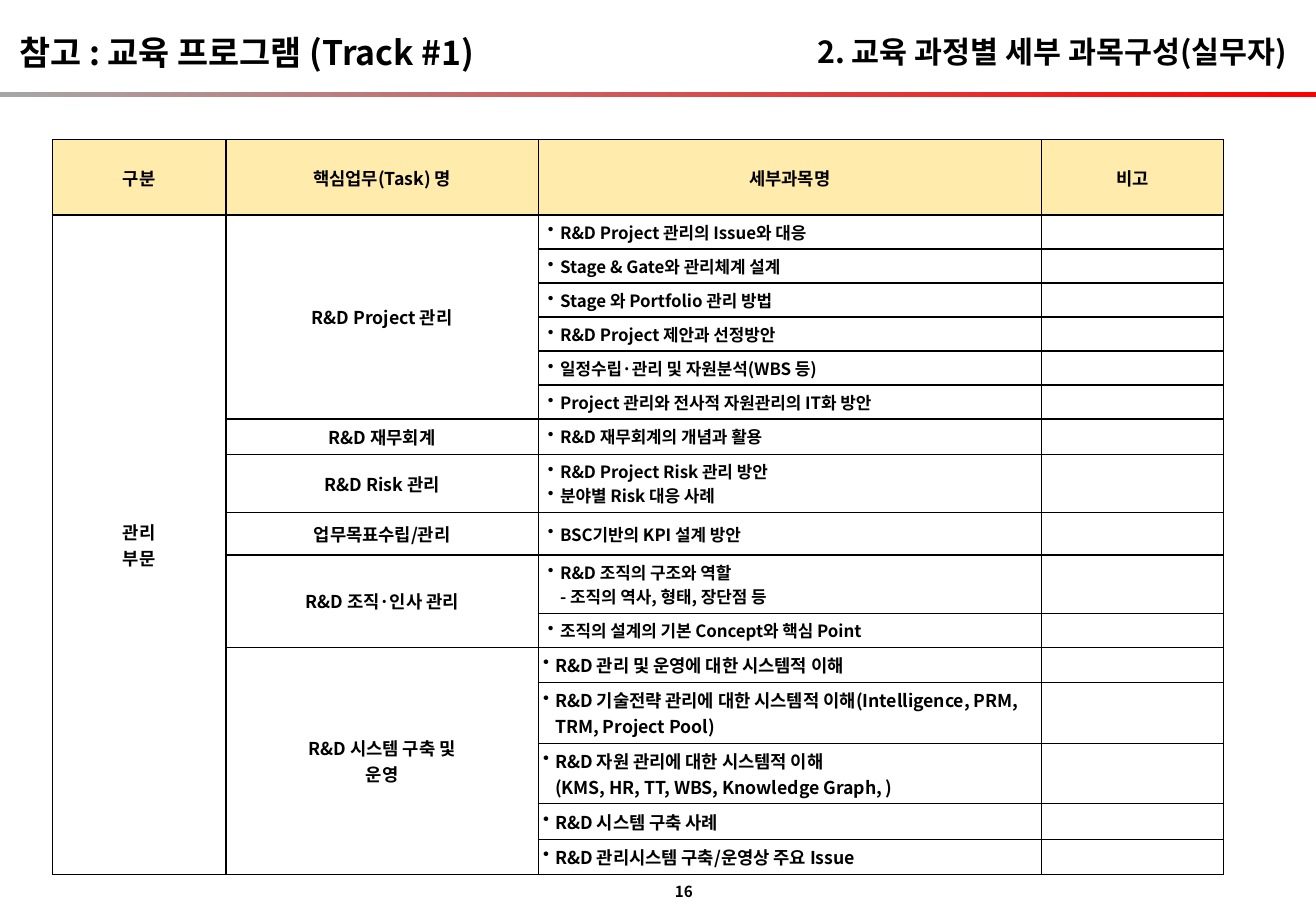
from dataclasses import dataclass

from lxml.etree import SubElement
from pptx import Presentation
from pptx.dml.color import RGBColor
from pptx.enum.shapes import MSO_SHAPE
from pptx.enum.text import MSO_ANCHOR, MSO_AUTO_SIZE, PP_ALIGN
from pptx.oxml import parse_xml
from pptx.oxml.ns import nsdecls, qn
from pptx.shapes.autoshape import Shape
from pptx.slide import Slide
from pptx.table import Table, _Cell
from pptx.text.text import TextFrame
from pptx.util import Inches, Pt

FONT = "Noto Sans CJK KR"
COLORS = {"text": "000000", "header": "FFEBAB", "bar_start": "A6A6A6", "bar_end": "FF0000"}
HEADERS = ["구분", "핵심업무(Task) 명", "세부과목명", "비고"]
COLUMN_WIDTHS = [1.43, 2.57, 4.14, 1.5]
HEADER_HEIGHT = 0.62
DIVISION = "관리\n부문"


@dataclass
class Label:
    text: str
    left: float
    top: float
    width: float
    height: float
    size: float
    align: PP_ALIGN
    margins: tuple[float, float, float, float]


@dataclass
class Subject:
    text: str
    height: float = 0.28


@dataclass
class Task:
    name: str
    subjects: list[Subject]
    size: float = 10
    inset: float = 0.08


TITLE = Label("2. 교육 과정별 세부 과목구성(실무자)", 6.2, 0.22, 4.49, 0.4, 18,
              PP_ALIGN.RIGHT, (0.1, 0.02, 0.1, 0.02))
LABELS = [
    Label("참고 : 교육 프로그램 (Track #1)", 0.06, 0.21, 4.24, 0.44, 20,
          PP_ALIGN.LEFT, (0.1, 0.02, 0.1, 0.02)),
    Label("16", 5.52, 7.21, 0.28, 0.25, 9, PP_ALIGN.RIGHT, (0.03, 0.03, 0.1, 0.03)),
]
TASKS = [
    Task("R&D Project 관리", [
        Subject("R&D Project 관리의 Issue와 대응"),
        Subject("Stage & Gate와 관리체계 설계"),
        Subject("Stage 와 Portfolio 관리 방법"),
        Subject("R&D Project 제안과 선정방안"),
        Subject("일정수립·관리 및 자원분석(WBS 등)"),
        Subject("Project 관리와 전사적 자원관리의 IT화 방안"),
    ]),
    Task("R&D 재무회계", [Subject("R&D 재무회계의 개념과 활용", 0.29)]),
    Task("R&D Risk 관리", [Subject("R&D Project Risk 관리 방안\n분야별 Risk 대응 사례", 0.48)]),
    Task("업무목표수립/관리", [Subject("BSC기반의 KPI 설계 방안", 0.35)]),
    Task("R&D 조직·인사 관리", [
        Subject("R&D 조직의 구조와 역할\v- 조직의 역사, 형태, 장단점 등", 0.48),
        Subject("조직의 설계의 기본 Concept와 핵심 Point"),
    ]),
    Task("R&D 시스템 구축 및\n운영", [
        Subject("R&D 관리 및 운영에 대한 시스템적 이해", 0.29),
        Subject("R&D 기술전략 관리에 대한 시스템적 이해(Intelligence, PRM, TRM, Project Pool)", 0.5),
        Subject("R&D 자원 관리에 대한 시스템적 이해\v(KMS, HR, TT, WBS, Knowledge Graph, )", 0.5),
        Subject("R&D 시스템 구축 사례", 0.29),
        Subject("R&D 관리시스템 구축/운영상 주요 Issue", 0.29),
    ], 10.5, 0.04),
]


def write_text(frame: TextFrame, text: str, size: float, align: PP_ALIGN) -> None:
    frame.text = text
    for para in frame.paragraphs:
        para.alignment = align
        for span in para.runs:
            span.font.name = FONT
            span.font.size = Pt(size)
            span.font.bold = True
            span.font.color.rgb = RGBColor.from_string(COLORS["text"])
            SubElement(span.font._element, qn("a:ea"), typeface=FONT)
        for line_break in para._p.findall(qn("a:br")):
            SubElement(line_break, qn("a:rPr"), sz=str(int(size * 100)))


def place_label(box: Shape, label: Label) -> None:
    box.left, box.top = Inches(label.left), Inches(label.top)
    box.width, box.height = Inches(label.width), Inches(label.height)
    frame = box.text_frame
    write_text(frame, label.text, label.size, label.align)
    frame.word_wrap = False
    frame.auto_size = MSO_AUTO_SIZE.SHAPE_TO_FIT_TEXT
    frame.vertical_anchor = MSO_ANCHOR.MIDDLE
    frame.margin_left, frame.margin_top, frame.margin_right, frame.margin_bottom = map(
        Inches, label.margins)


def draw_bar(page: Slide) -> None:
    bar = page.shapes.add_shape(
        MSO_SHAPE.RECTANGLE, 0, Inches(0.76), Inches(10.83), Inches(0.04))
    bar.shadow.inherit = False
    bar.line.fill.background()
    bar.fill.gradient()
    bar.fill.gradient_angle = 0
    for stop, position, name in zip(bar.fill.gradient_stops, (0, 1), ("bar_start", "bar_end")):
        stop.position = position
        stop.color.rgb = RGBColor.from_string(COLORS[name])


def draw_borders(cell: _Cell, column: int) -> None:
    widths = {"lnL": 1 if column == 3 else 0.75, "lnR": 1 if column == 2 else 0.75,
              "lnT": 0.75, "lnB": 0.75}
    properties = cell._tc.get_or_add_tcPr()
    for index, (side, width) in enumerate(widths.items()):
        properties.insert(index, parse_xml(
            f'<a:{side} {nsdecls("a")} w="{Pt(width)}"><a:solidFill>'
            f'<a:srgbClr val="{COLORS["text"]}"/></a:solidFill></a:{side}>'))


def fill_cell(cell: _Cell, text: str, size: float = 10.5, inset: float = 0.04,
              align: PP_ALIGN = PP_ALIGN.CENTER) -> None:
    write_text(cell.text_frame, text, size, align)
    cell.margin_left = cell.margin_right = Inches(inset)


def add_bullets(cell: _Cell) -> None:
    for para in cell.text_frame.paragraphs:
        properties = para._p.get_or_add_pPr()
        properties.set("marL", str(Inches(0.1)))
        properties.set("indent", str(-Inches(0.1)))
        SubElement(properties, qn("a:buChar"), char="•")


def format_grid(table: Table) -> None:
    for row_index, row in enumerate(table.rows):
        for column, cell in enumerate(row.cells):
            cell.vertical_anchor = MSO_ANCHOR.MIDDLE
            cell.margin_left = cell.margin_right = Inches(0.04)
            cell.margin_top = cell.margin_bottom = Inches(0.04)
            if row_index == 0:
                cell.fill.solid()
                cell.fill.fore_color.rgb = RGBColor.from_string(COLORS["header"])
            else:
                cell.fill.background()
            draw_borders(cell, column)
            end = cell.text_frame.paragraphs[0]._p.get_or_add_endParaRPr()
            end.set("sz", "1000")


def draw_table(page: Slide) -> None:
    heights = [HEADER_HEIGHT] + [subject.height for task in TASKS for subject in task.subjects]
    table = page.shapes.add_table(
        len(heights), len(HEADERS), Inches(0.43), Inches(1.15),
        Inches(sum(COLUMN_WIDTHS)), Inches(sum(heights))).table
    table.first_row = table.horz_banding = False
    for column, width in zip(table.columns, COLUMN_WIDTHS):
        column.width = Inches(width)
    for row, height in zip(table.rows, heights):
        row.height = Inches(height)
    format_grid(table)
    for column, header in enumerate(HEADERS):
        fill_cell(table.cell(0, column), header)
    table.cell(1, 0).merge(table.cell(len(heights) - 1, 0))
    fill_cell(table.cell(1, 0), DIVISION)
    first = 1
    for task in TASKS:
        last = first + len(task.subjects) - 1
        if last > first:
            table.cell(first, 1).merge(table.cell(last, 1))
        fill_cell(table.cell(first, 1), task.name)
        for row_index, subject in enumerate(task.subjects, first):
            cell = table.cell(row_index, 2)
            fill_cell(cell, subject.text, task.size, task.inset, PP_ALIGN.LEFT)
            add_bullets(cell)
        first = last + 1


def main() -> None:
    deck = Presentation()
    deck.slide_width, deck.slide_height = Inches(10.83), Inches(7.5)
    page = deck.slides.add_slide(deck.slide_layouts[5])
    draw_bar(page)
    place_label(page.shapes.title, TITLE)
    draw_table(page)
    for label in LABELS:
        place_label(page.shapes.add_textbox(0, 0, 0, 0), label)
    deck.save("out.pptx")


if __name__ == "__main__":
    main()
